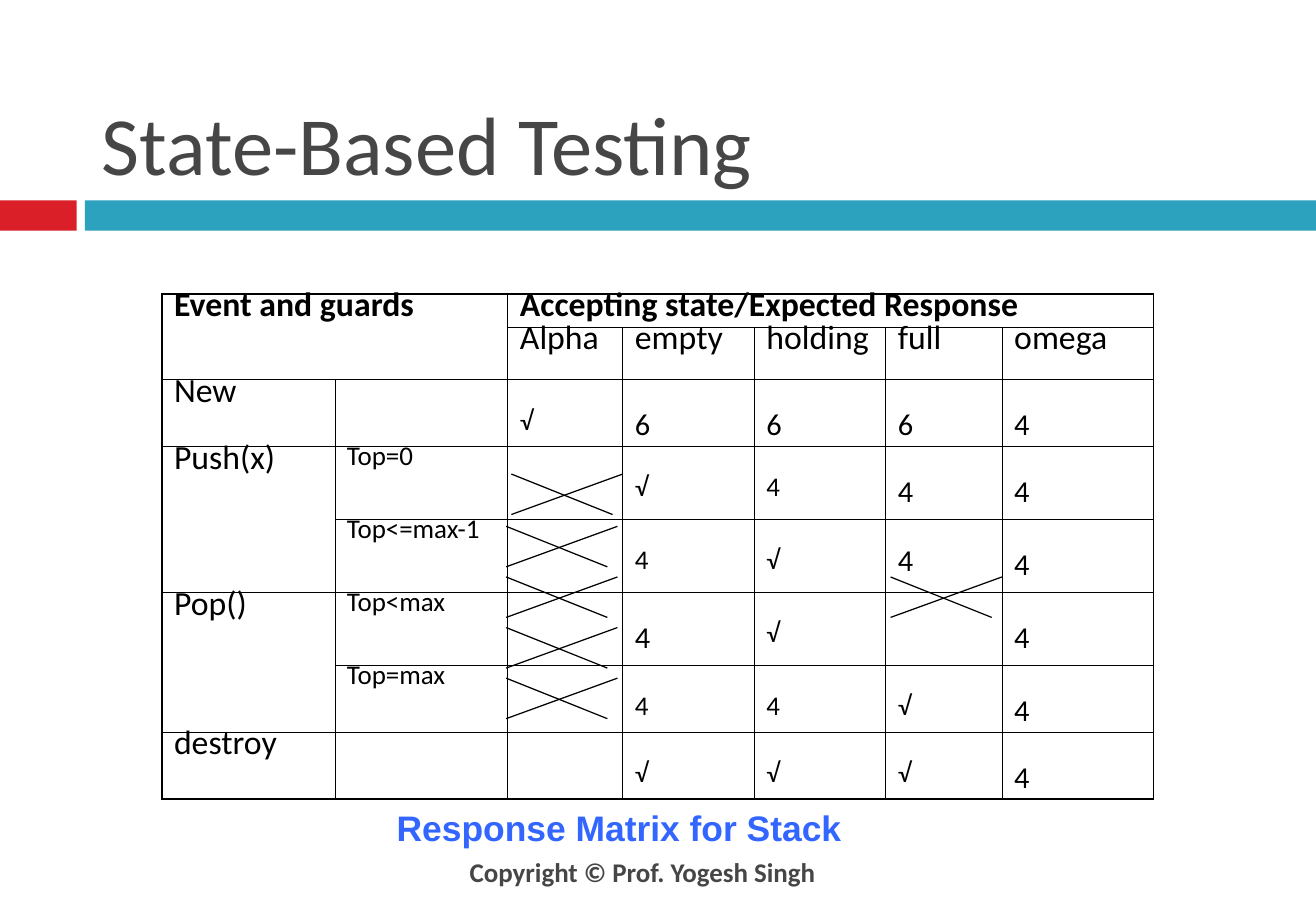
from dataclasses import dataclass

from lxml import etree
from pptx import Presentation
from pptx import util as u
from pptx.dml.color import RGBColor
from pptx.enum import shapes, text
from pptx.oxml import ns


@dataclass(frozen=True)
class Theme:
    ink: str = "000000"
    gray: str = "464646"
    red: str = "DA1F28"
    teal: str = "2DA2BF"
    blue: str = "3366FF"
    body: str = "Calibri"
    caption: str = "Arial"
    title_size: float = 49
    caption_size: float = 21
    label_size: float = 20
    value_size: float = 18
    small_size: float = 16
    inner_line: float = 0.45
    outer_line: float = 1.08
    cross_line: float = 0.75


THEME = Theme()
COLUMNS = [102.6, 102.6, 68.2, 78, 78, 69, 89.8]
ROWS = [19.5, 31.3, 39.7, 43.2, 43.2, 43.2, 39.7, 39.7]
MERGES = [(0, 0, 1, 1), (0, 2, 0, 6), (3, 0, 4, 0), (5, 0, 6, 0)]
MATRIX = [
    ["Event and guards", "", "Accepting state/Expected Response", "", "", "", ""],
    ["", "", "Alpha", "empty", "holding", "full", "omega"],
    ["New", "", "√", "6", "6", "6", "4"],
    ["Push(x)", "Top=0", "", "√", "4", "4", "4"],
    ["", "Top<=max-1", "", "4", "√", "4", "4"],
    ["Pop()", "Top<max", "", "4", "√", "", "4"],
    ["", "Top=max", "", "4", "4", "√", "4"],
    ["destroy", "", "", "√", "√", "√", "4"],
]
SMALL_FOURS = {(3, 4), (4, 3), (6, 3), (6, 4)}
RAISED_FOUR = (4, 5)
CROSSES = [(303.3, 281), (300.2, 312), (300.2, 342), (300.2, 372), (300.2, 402), (528.2, 342)]


def write(frame, content, *, size, font=THEME.body, color=THEME.ink, bold=False,
          align=text.PP_ALIGN.LEFT, spacing=None):
    para = frame.paragraphs[0]
    para.alignment = align
    if spacing:
        para.line_spacing = spacing
    if content:
        span = para.add_run()
        span.text = content
        span.font.size = u.Pt(size)
        span.font.name = font
        span.font.bold = bold
        span.font.color.rgb = RGBColor.from_string(color)


def set_insets(target, left, top, right, bottom):
    target.margin_left, target.margin_top = u.Pt(left), u.Pt(top)
    target.margin_right, target.margin_bottom = u.Pt(right), u.Pt(bottom)


def set_border(cell, side, width, color):
    line = etree.SubElement(cell._tc.get_or_add_tcPr(), ns.qn(f"a:ln{side}"), w=str(u.Pt(width)))
    fill = etree.SubElement(line, ns.qn("a:solidFill"))
    etree.SubElement(fill, ns.qn("a:srgbClr"), val=color)


class SlideBuilder:
    def __init__(self, page, theme):
        self.page = page
        self.theme = theme

    def bar(self, left, top, width, height, color):
        box = self.page.shapes.add_shape(
            shapes.MSO_SHAPE.RECTANGLE, u.Pt(left), u.Pt(top), u.Pt(width), u.Pt(height))
        box.shadow.inherit = False
        box.fill.solid()
        box.fill.fore_color.rgb = RGBColor.from_string(color)
        box.line.fill.background()

    def title(self, content, left, top, width, height):
        box = self.page.shapes.title
        box.left, box.top, box.width, box.height = map(u.Pt, (left, top, width, height))
        frame = box.text_frame
        frame.auto_size = text.MSO_AUTO_SIZE.NONE
        frame.vertical_anchor = text.MSO_ANCHOR.BOTTOM
        set_insets(frame, 8.6, 4.3, 8.6, 4.3)
        write(frame, content, size=self.theme.title_size, color=self.theme.gray)

    def label(self, content, left, top, width, height, insets, anchor, **style):
        box = self.page.shapes.add_textbox(u.Pt(left), u.Pt(top), u.Pt(width), u.Pt(height))
        frame = box.text_frame
        frame.word_wrap = True
        frame.vertical_anchor = anchor
        set_insets(frame, *insets)
        write(frame, content, **style)

    def cross(self, left, top, width=66, height=24):
        group = self.page.shapes.add_group_shape()
        for start, end in ((left, left + width - 6), (left + width, left)):
            line = group.shapes.add_connector(
                shapes.MSO_CONNECTOR.STRAIGHT,
                u.Pt(start), u.Pt(top), u.Pt(end), u.Pt(top + height))
            line.line.width = u.Pt(self.theme.cross_line)
            line.line.color.rgb = RGBColor.from_string(self.theme.ink)
            etree.SubElement(line._element.spPr, ns.qn("a:effectLst"))

    def cell_sizes(self, row, column, content):
        if row < 2 or column == 0:
            return self.theme.label_size, 0
        if column == 1 or not content:
            return self.theme.small_size, 0
        small = content == "√" or (row, column) in SMALL_FOURS
        size = self.theme.small_size if small else self.theme.value_size
        drop = self.theme.small_size if (row, column) == RAISED_FOUR else size
        return size, 1.15 * drop

    def matrix(self, left, top):
        table = self.page.shapes.add_table(
            len(ROWS), len(COLUMNS), u.Pt(left), u.Pt(top),
            u.Pt(sum(COLUMNS)), u.Pt(sum(ROWS))).table
        table.first_row = table.horz_banding = False
        for column, width in zip(table.columns, COLUMNS):
            column.width = u.Pt(width)
        for row, height in zip(table.rows, ROWS):
            row.height = u.Pt(height)
        for first_row, first_column, last_row, last_column in MERGES:
            table.cell(first_row, first_column).merge(table.cell(last_row, last_column))
        for row, contents in enumerate(MATRIX):
            for column, content in enumerate(contents):
                cell = table.cell(row, column)
                size, drop = self.cell_sizes(row, column, content)
                set_insets(cell, 7.2, 3.6 + drop, 0, 0)
                write(cell.text_frame, content, size=size, bold=row == 0, spacing=0.5)
                edges = {"L": column == 0, "R": column == len(COLUMNS) - 1,
                         "T": row == 0, "B": row == len(ROWS) - 1}
                for side, outer in edges.items():
                    width = self.theme.outer_line if outer else self.theme.inner_line
                    set_border(cell, side, width, self.theme.ink)
                cell.fill.background()


def main():
    deck = Presentation()
    deck.slide_width, deck.slide_height = u.Pt(780.48), u.Pt(540)
    deck.element.sldSz.attrib.pop("type", None)
    builder = SlideBuilder(deck.slides.add_slide(deck.slide_layouts[5]), THEME)
    builder.bar(0, 118.8, 45.5, 18, THEME.red)
    builder.bar(50.4, 118.8, 730.08, 18, THEME.teal)
    builder.label("Copyright © Prof. Yogesh Singh", 150, 511.2, 462.2, 28.8,
                  (8.6, 4.3, 8.6, 21.6), text.MSO_ANCHOR.MIDDLE, size=THEME.small_size,
                  color=THEME.gray, bold=True, align=text.PP_ALIGN.CENTER)
    builder.title("State-Based Testing", 51.84, 12.5, 695.5, 105.84)
    builder.matrix(96, 174.3)
    for left, top in CROSSES:
        builder.cross(left, top)
    builder.label("Response Matrix for Stack", 228.2, 474.2, 311.8, 32.4,
                  (7.2, 3.6, 7.2, 3.6), text.MSO_ANCHOR.TOP, size=THEME.caption_size,
                  font=THEME.caption, color=THEME.blue, bold=True)
    deck.save("out.pptx")


if __name__ == "__main__":
    main()
